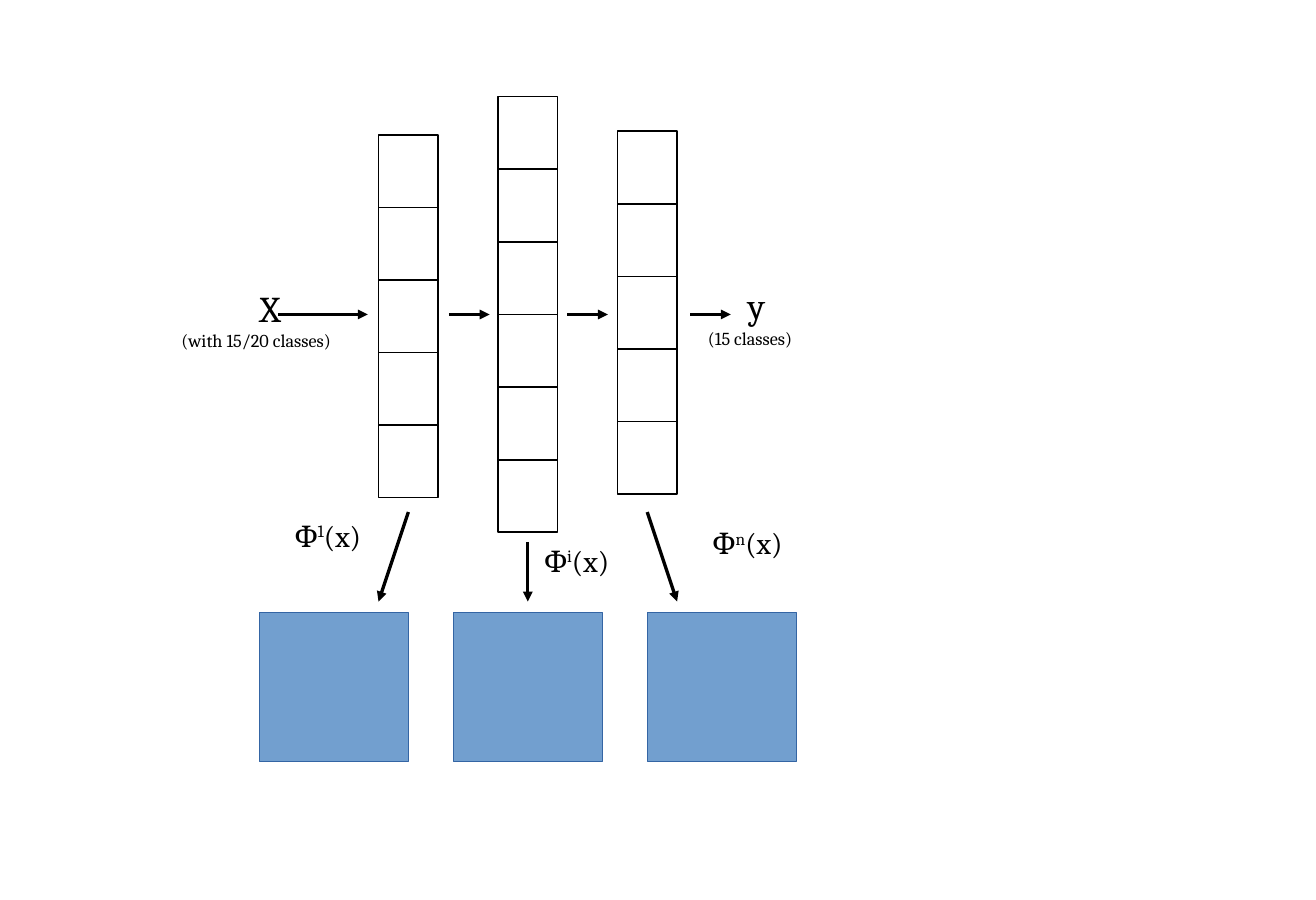
from dataclasses import dataclass

from lxml import etree
from pptx import Presentation, util as u
from pptx.dml.color import RGBColor
from pptx.enum import shapes, text
from pptx.oxml import ns


@dataclass(frozen=True)
class Theme:
    font: str = "Cambria"
    ink: RGBColor = RGBColor(0, 0, 0)
    fill: RGBColor = RGBColor(0x72, 0x9F, 0xCF)
    edge: RGBColor = RGBColor(0x34, 0x65, 0xA4)
    big: float = 21.9
    mid: float = 18
    small: float = 11
    hair: float = 0
    thin: float = 1
    bold: float = 1.5


T = Theme()


def add_box(slide, box, fill, edge, width):
    rect = slide.shapes.add_shape(
        shapes.MSO_SHAPE.RECTANGLE, *[u.Inches(v) for v in box])
    rect.shadow.inherit = False
    if fill is None:
        rect.fill.background()
    else:
        rect.fill.solid()
        rect.fill.fore_color.rgb = fill
    rect.line.color.rgb = edge
    rect.line.width = u.Pt(width)
    return rect


def add_line(slide, start, end, width, arrow=False):
    line = slide.shapes.add_connector(
        shapes.MSO_CONNECTOR.STRAIGHT, *[u.Inches(v) for v in (*start, *end)])
    line.line.color.rgb = T.ink
    line.line.width = u.Pt(width)
    props = line._element.spPr
    if arrow:
        etree.SubElement(props.find(ns.qn("a:ln")), ns.qn("a:tailEnd"),
                         type="triangle")
    etree.SubElement(props, ns.qn("a:effectLst"))
    return line


def add_run(para, words, size, raised=False):
    run = para.add_run()
    run.text = words
    run.font.name = T.font
    run.font.size = u.Pt(size)
    run.font.color.rgb = T.ink
    if raised:
        run.font._element.set("baseline", "33000")


def add_text(slide, box, words, size=T.mid, power="", rest="", note="",
             align=text.PP_ALIGN.LEFT):
    """Write words, with an optional raised power and a note below."""
    frame = slide.shapes.add_textbox(*[u.Inches(v) for v in box]).text_frame
    frame.word_wrap = True
    frame.auto_size = text.MSO_AUTO_SIZE.SHAPE_TO_FIT_TEXT
    para = frame.paragraphs[0]
    para.alignment = align
    add_run(para, words, size)
    if power:
        add_run(para, power, size, raised=True)
        add_run(para, rest, size)
    if note:
        add_run(frame.add_paragraph(), note, T.small)


def add_layer(slide, box, cells):
    """A column of equal cells."""
    left, top, wide, high = box
    rect = add_box(slide, box, None, T.ink, T.thin)
    for i in range(1, cells):
        y = top + high * i / cells
        line = add_line(slide, (left, y), (left + wide, y), T.thin)
        if 2 * i == cells:  # this divider meets both side midpoints
            line.begin_connect(rect, 1)
            line.end_connect(rect, 3)


def add_net(slide, box):
    """The layers with the signal flowing through them."""
    left, top, wide, high = box
    for i, (drop, tall, cells) in enumerate(
            [(0.32, 3.04, 5), (0, 3.65, 6), (0.29, 3.04, 5)]):
        add_layer(slide, (left + i, top + drop, 0.5, tall), cells)

    # Input, output and the arrows between
    mid = top + high / 2
    center = text.PP_ALIGN.CENTER
    add_text(slide, (left - 1.75, mid - 0.29, 1.75, 1.2), "X ",
             size=T.big, note="(with 15/20 classes)", align=center)
    add_text(slide, (left + wide + 0.16, mid - 0.31, 1.01, 0.79), "y",
             size=T.big, note="(15 classes)", align=center)
    for start, end in [(-0.84, -0.09), (0.59, 0.93),
                       (1.58, 1.92), (2.61, 2.95)]:
        add_line(slide, (left + start, mid), (left + end, mid),
                 T.bold, arrow=True)


def add_maps(slide, box):
    """The feature maps, each with its arrow and label."""
    left, top, wide, high = box
    side = 1.25
    step = (wide - side) / 2
    parts = [("1", 1.25, 1.0, 0, (0.2, 0, 0.81)),
             ("i", 2.25, 2.25, 0.25, (2.29, 0.21, 1.06)),
             ("n", 3.25, 3.5, 0, (3.7, 0.06, 1.06))]
    for i, (power, start, end, drop, (x, y, span)) in enumerate(parts):
        add_box(slide, (left + i * step, top + high - side, side, side),
                T.fill, T.edge, T.hair)
        add_line(slide, (left + start, top + drop), (left + end, top + 0.75),
                 T.hair, arrow=True)
        add_text(slide, (left + x, top + y, span, 0.44), "Φ",
                 power=power, rest="(x)")


def main():
    deck = Presentation()
    deck.slide_width = u.Inches(11.02)
    deck.slide_height = u.Inches(7.54)
    slide = deck.slides.add_slide(deck.slide_layouts[6])
    add_net(slide, (3.17, 0.81, 2.5, 3.65))
    add_maps(slide, (2.17, 4.29, 4.5, 2.09))
    deck.save("out.pptx")


if __name__ == "__main__":
    main()
